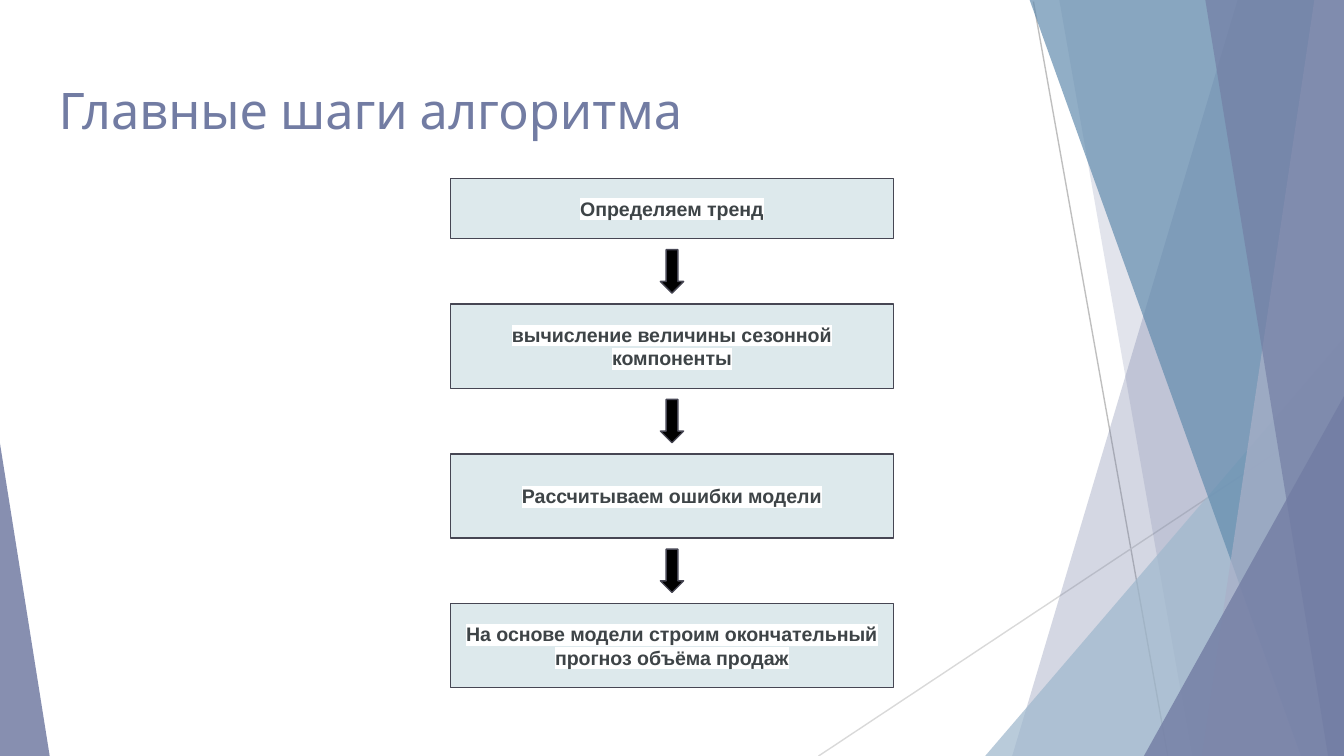
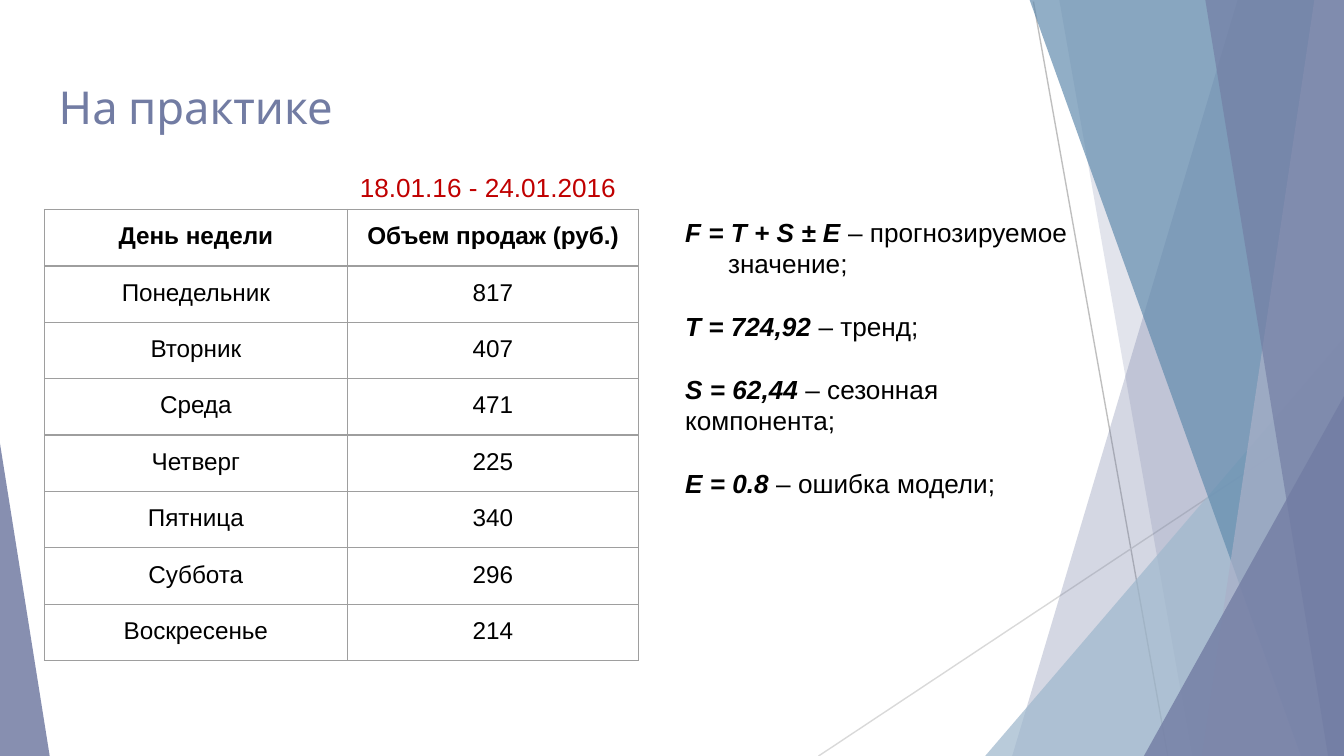
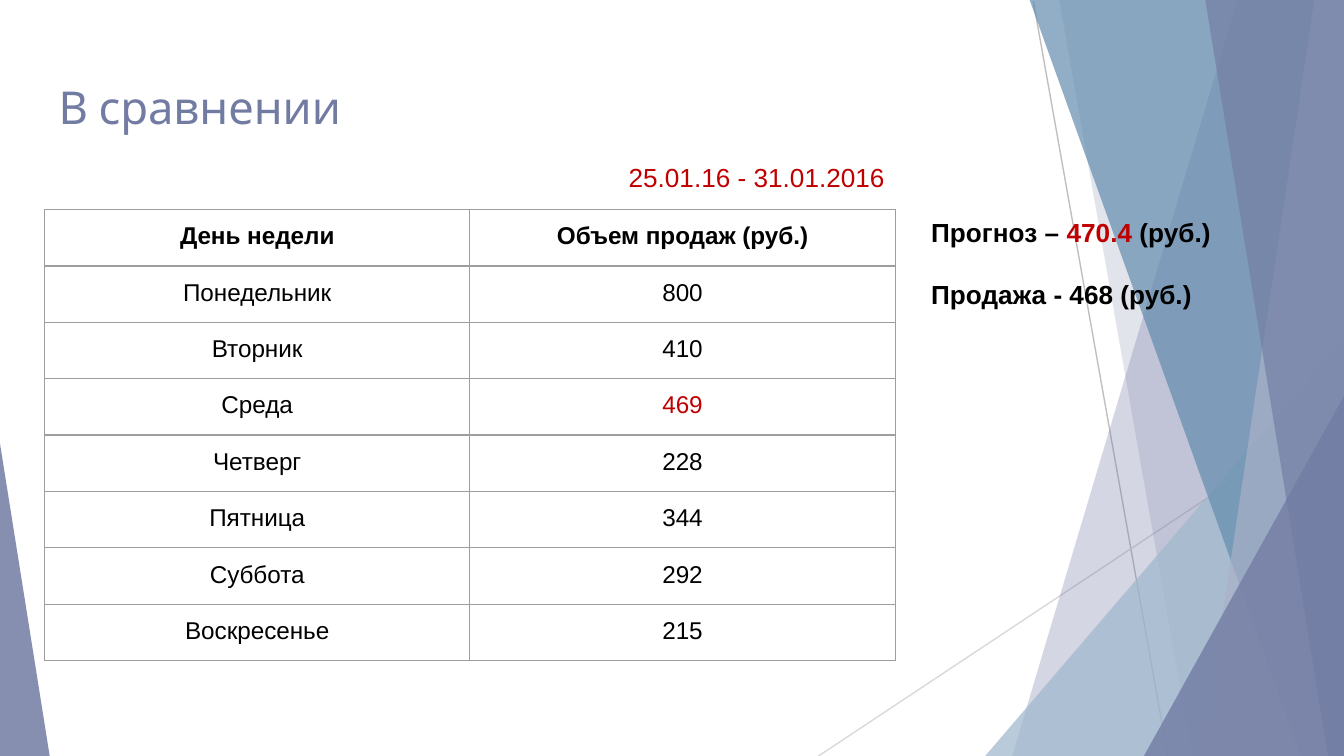
from lxml import etree
from pptx import Presentation
from pptx import util as u
from pptx.dml import color as dml
from pptx.enum import shapes as kinds, text as t
from pptx.oxml import ns

COLORS = {
    "indigo": "727CA3", "sky": "9FB8CD", "steel": "638CAE", "mist": "AAB0C8",
    "grey line": "BFBFBF", "pale line": "D9D9D9", "border": "9E9E9E",
    "box": "DDE9EC", "outline": "464653", "box text": "3E4447",
    "black": "000000", "white": "FFFFFF", "red": "C00000",
}
WIDTH, HEIGHT = 25.4, 14.29
INSET = 0.25
TITLE_FONT, BODY_FONT = "Karla", "Arial"

RAYS = [
    ((19.53, 0.03), (22.07, HEIGHT), "grey line"),
    ((WIDTH, 7.7), (15.47, HEIGHT), "pale line"),
]
FACETS = [
    ("sheet", 23.39, 19.13, "indigo", 30),
    ("sheet", 20.02, 22.53, "indigo", 20),
    ("right corner", 6.78, 6.38, "sky", 72),
    ("sheet", 19.46, 24.59, "steel", 70),
    ("sheet", 24.84, 22.71, "mist", 70),
    ("sheet", 22.78, 25.1, "indigo", 65),
    ("right corner", 3.78, 7.49, "indigo", 80),
    ("left corner", 0.94, 8.38, "indigo", 85),
]

STEPS = [
    ("Определяем тренд", 1.14),
    ("вычисление величины сезонной компоненты", 1.59),
    ("Рассчитываем ошибки модели", 1.59),
    ("На основе модели строим окончательный прогноз объёма продаж", 1.59),
]
STEP_LEFT, STEP_TOP, STEP_WIDTH, STEP_GAP = 8.51, 3.37, 8.38, 1.24
ARROW_LENGTH, ARROW_THICKNESS = 0.82, 0.44

HEADERS = ("День недели", "Объем продаж (руб.)")
DAYS = ("Понедельник", "Вторник", "Среда", "Четверг", "Пятница", "Суббота", "Воскресенье")

SALES_SLIDES = [
    {
        "title": "На практике",
        "sales": (817, 407, 471, 225, 340, 296, 214),
        "highlight": None,
        "columns": (5.72, 5.51),
        "dates": ("18.01.16 - 24.01.2016", 6.55, 3.12),
        "notes_box": (12.7, 3.96, 8.26, 5.05),
        "hanging": 0.81,
        "notes": [
            [("F = T + S ± E ", "bi", "black"), ("– прогнозируемое значение;", "", "black")],
            [("Т = 724,92 ", "bi", "black"), ("– тренд;", "", "black")],
            [("S = 62,44 ", "bi", "black"), ("– сезонная компонента;", "", "black")],
            [("Е = 0.8", "bi", "black"), (" – ошибка модели;", "", "black")],
        ],
    },
    {
        "title": "В сравнении",
        "sales": (800, 410, 469, 228, 344, 292, 215),
        "highlight": "Среда",
        "columns": (8.04, 8.04),
        "dates": ("25.01.16 - 31.01.2016", 11.63, 2.92),
        "notes_box": (17.35, 3.96, 6.15, 2.06),
        "hanging": 0,
        "notes": [
            [("Прогноз – ", "b", "black"), ("470.4", "b", "red"), (" (руб.)", "b", "black")],
            [("Продажа - 468 (руб.)", "b", "black")],
        ],
    },
]


def cm(*lengths):
    return [u.Cm(length) for length in lengths]


def rgb(name):
    return dml.RGBColor.from_string(COLORS[name])


def paint(shape, fill, line=None, opacity=100):
    shape.shadow.inherit = False
    shape.fill.solid()
    shape.fill.fore_color.rgb = rgb(fill)
    if opacity < 100:
        color = shape.fill._xPr.find(".//" + ns.qn("a:srgbClr"))
        etree.SubElement(color, ns.qn("a:alpha"), val=str(opacity * 1000))
    if line:
        shape.line.color.rgb = rgb(line)
        shape.line.width = u.Pt(0.75)
    else:
        shape.line.fill.background()


def style(font, size, color, bold=False, name=BODY_FONT):
    font.name, font.size, font.bold = name, u.Pt(size), bold
    font.color.rgb = rgb(color)


def pad(frame):
    frame.margin_left = frame.margin_right = u.Cm(INSET)
    frame.margin_top = frame.margin_bottom = u.Cm(INSET)


def add_textbox(slide, box):
    frame = slide.shapes.add_textbox(*cm(*box)).text_frame
    frame.word_wrap = True
    return frame


def add_facets(slide):
    group = slide.shapes.add_group_shape().shapes
    for start, end, color in RAYS:
        ray = group.add_connector(kinds.MSO_CONNECTOR.STRAIGHT, *cm(*start, *end))
        ray.line.color.rgb = rgb(color)
        ray.line.width = u.Pt(0.75)
        etree.SubElement(ray._element.spPr, ns.qn("a:effectLst"))
    for kind, first, second, color, opacity in FACETS:
        if kind == "sheet":
            builder = group.build_freeform(*cm(first, 0))
            corners = [(WIDTH, 0), (WIDTH, HEIGHT), (second, HEIGHT)]
            builder.add_line_segments([cm(*corner) for corner in corners], close=True)
            facet = builder.convert_to_shape()
        else:
            on_right = kind == "right corner"
            left = WIDTH - first if on_right else 0
            facet = group.add_shape(kinds.MSO_SHAPE.ISOSCELES_TRIANGLE,
                                    *cm(left, second, first, HEIGHT - second))
            facet.adjustments[0] = 1 if on_right else 0
        paint(facet, color, opacity=opacity)


def add_slide(presentation, title, title_size):
    slide = presentation.slides.add_slide(presentation.slide_layouts[6])
    add_facets(slide)
    frame = add_textbox(slide, (0.86, 1.24, 23.67, 1.6))
    pad(frame)
    frame.text = title
    style(frame.paragraphs[0].font, title_size, "indigo", name=TITLE_FONT)
    return slide


def add_step(slide, text, top, height):
    box = slide.shapes.add_shape(kinds.MSO_SHAPE.RECTANGLE,
                                 *cm(STEP_LEFT, top, STEP_WIDTH, height))
    paint(box, "box", "outline")
    frame = box.text_frame
    frame.word_wrap = True
    frame.vertical_anchor = t.MSO_ANCHOR.MIDDLE
    pad(frame)
    paragraph = frame.paragraphs[0]
    paragraph.alignment = t.PP_ALIGN.CENTER
    style(paragraph.font, 10.5, "box text", True)
    run = paragraph.add_run()
    run.text = text
    run.font.color.rgb = rgb("box text")
    highlight = etree.SubElement(run._r.get_or_add_rPr(), ns.qn("a:highlight"))
    etree.SubElement(highlight, ns.qn("a:srgbClr"), val=COLORS["white"])


def add_arrow(slide, middle):
    left = STEP_LEFT + (STEP_WIDTH - ARROW_LENGTH) / 2
    arrow = slide.shapes.add_shape(
        kinds.MSO_SHAPE.RIGHT_ARROW,
        *cm(left, middle - ARROW_THICKNESS / 2, ARROW_LENGTH, ARROW_THICKNESS))
    arrow.rotation = 90
    paint(arrow, "black", "outline")


def add_steps(slide):
    top = STEP_TOP
    for index, (text, height) in enumerate(STEPS):
        if index:
            add_arrow(slide, top - STEP_GAP / 2)
        add_step(slide, text, top, height)
        top += height + STEP_GAP


def add_borders(cell):
    properties = cell._tc.get_or_add_tcPr()
    for index, side in enumerate(("lnL", "lnR", "lnT", "lnB")):
        line = etree.Element(ns.qn("a:" + side), w=str(u.Pt(0.75)))
        fill = etree.SubElement(line, ns.qn("a:solidFill"))
        etree.SubElement(fill, ns.qn("a:srgbClr"), val=COLORS["border"])
        properties.insert(index, line)


def add_sales_table(slide, content):
    rows = [HEADERS, *zip(DAYS, content["sales"])]
    columns = content["columns"]
    table = slide.shapes.add_table(len(rows), len(columns),
                                   *cm(0.84, 3.96, sum(columns), 8.53)).table
    table.first_row = table.horz_banding = False
    for column, width in zip(table.columns, columns):
        column.width = u.Cm(width)
    for row_index, row in enumerate(rows):
        for column_index, value in enumerate(row):
            cell = table.cell(row_index, column_index)
            cell.fill.background()
            add_borders(cell)
            pad(cell)
            cell.text = str(value)
            paragraph = cell.text_frame.paragraphs[0]
            paragraph.alignment = t.PP_ALIGN.CENTER
            marked = column_index == 1 and row[0] == content["highlight"]
            style(paragraph.font, 13, "red" if marked else "black", row_index == 0)


def add_dates(slide, text, left, top):
    frame = add_textbox(slide, (left, top, 5.51, 0.86))
    frame.auto_size = t.MSO_AUTO_SIZE.SHAPE_TO_FIT_TEXT
    frame.text = text
    style(frame.paragraphs[0].font, 14, "red")


def add_notes(slide, content):
    frame = add_textbox(slide, content["notes_box"])
    frame.auto_size = t.MSO_AUTO_SIZE.SHAPE_TO_FIT_TEXT
    for index, runs in enumerate(content["notes"]):
        paragraph = frame.add_paragraph() if index else frame.paragraphs[0]
        if index:
            paragraph.space_before = u.Pt(16.8)
        elif content["hanging"]:
            indent = u.Cm(content["hanging"])
            properties = paragraph._p.get_or_add_pPr()
            properties.set("marL", str(indent))
            properties.set("indent", str(-indent))
        for text, emphasis, color in runs:
            run = paragraph.add_run()
            run.text = text
            style(run.font, 14, color, "b" in emphasis)
            run.font.italic = "i" in emphasis


def main():
    presentation = Presentation()
    presentation.slide_width, presentation.slide_height = cm(WIDTH, HEIGHT)
    add_steps(add_slide(presentation, "Главные шаги алгоритма", 27))
    for content in SALES_SLIDES:
        slide = add_slide(presentation, content["title"], 24.3)
        add_sales_table(slide, content)
        add_dates(slide, *content["dates"])
        add_notes(slide, content)
    presentation.save("out.pptx")


if __name__ == "__main__":
    main()
